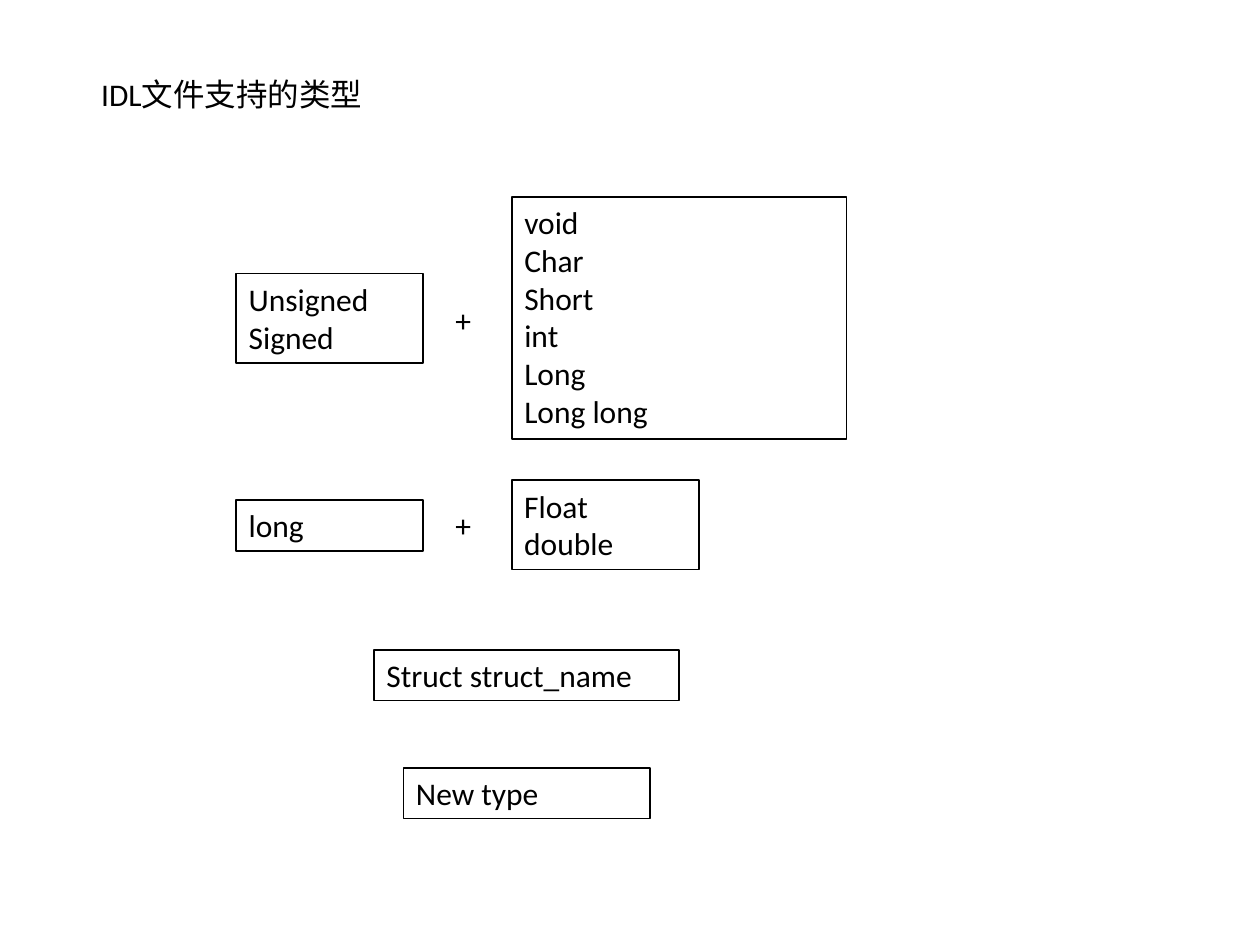
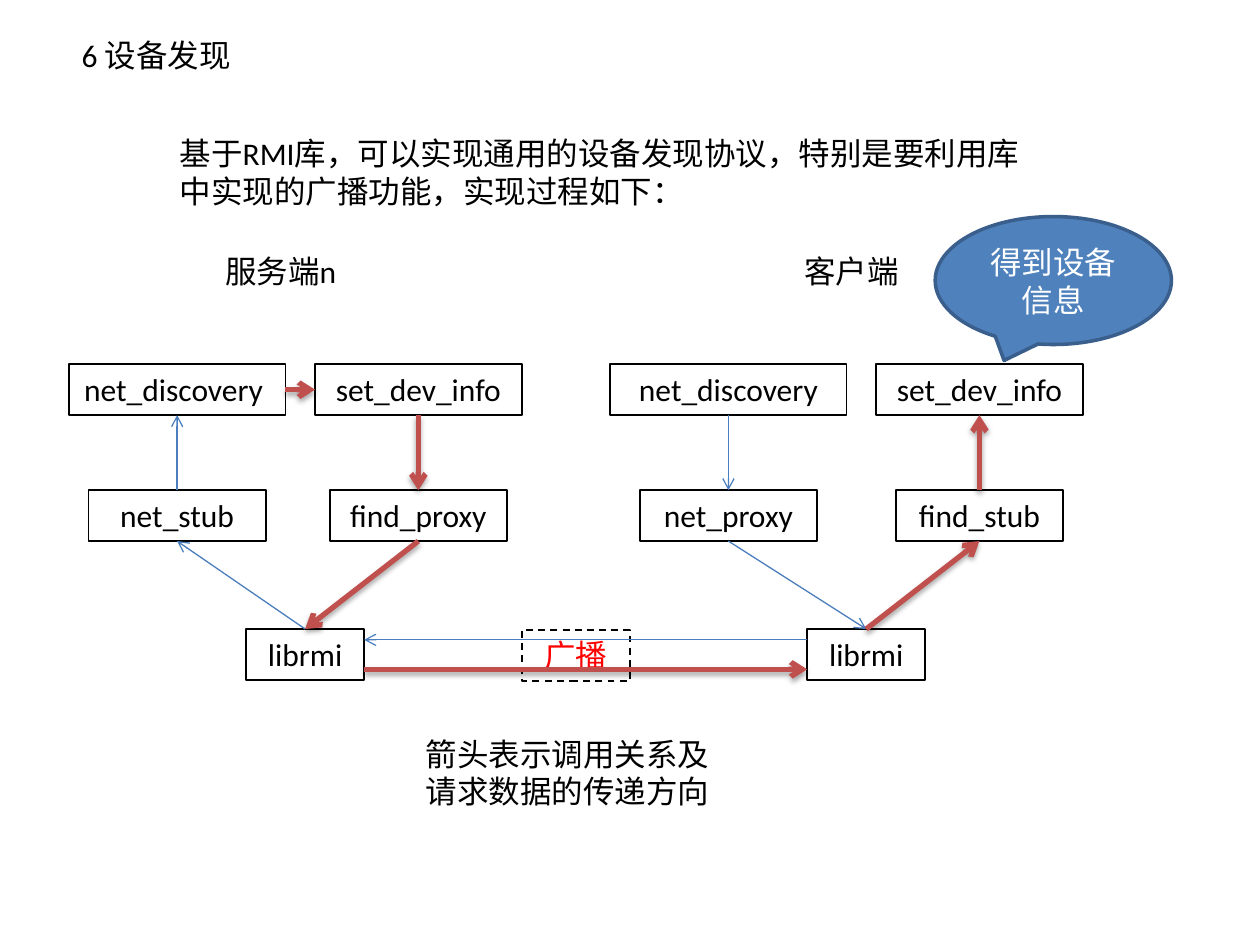
from dataclasses import dataclass
from lxml.etree import SubElement
from pptx import Presentation
from pptx.dml.color import RGBColor
from pptx.enum.dml import MSO_LINE
from pptx.enum.shapes import MSO_CONNECTOR, MSO_SHAPE
from pptx.enum.text import MSO_ANCHOR, MSO_AUTO_SIZE, PP_ALIGN
from pptx.oxml.ns import qn
from pptx.util import Inches, Pt

LEFT, MID = PP_ALIGN.LEFT, PP_ALIGN.CENTER
TOP, SIDE, BASE, RIGHT = range(4)  # connection sites of a rectangle
COLS, ROWS = 128, 96


@dataclass(frozen=True)
class Theme:
    font: str = "Calibri"
    size: float = 18
    ink: str = "000000"
    alert: str = "FF0000"
    light: str = "FFFFFF"
    bubble: str = "4F81BD"
    rim: str = "3A5F8C"
    call: tuple = ("4B7EBC", 0.75)
    reply: tuple = ("C0504D", 3)
    pad: float = 1.29    # box margins, in rows
    step: float = 3.88   # one line of text, in rows


class Deck:
    def __init__(self, theme):
        self.theme = theme
        self.prs = Presentation()
        self.prs.slide_width, self.prs.slide_height = Inches(10), Inches(7.5)
        self.slide = None

    def x(self, col):
        return round(self.prs.slide_width * col / COLS)

    def y(self, row):
        return round(self.prs.slide_height * row / ROWS)

    def area(self, col, row, wide, lines):
        high = self.theme.pad + self.theme.step * lines
        return self.x(col), self.y(row), self.x(wide), self.y(high)

    def style(self, shape, text, align=LEFT, color=None, grow=True):
        frame = shape.text_frame
        frame.text = text
        frame.word_wrap = True
        frame.vertical_anchor = MSO_ANCHOR.TOP if grow else MSO_ANCHOR.MIDDLE
        frame.auto_size = MSO_AUTO_SIZE.SHAPE_TO_FIT_TEXT if grow else MSO_AUTO_SIZE.NONE
        for para in frame.paragraphs:
            para.alignment = align
            for run in para.runs:
                run.font.name = self.theme.font
                run.font.size = Pt(self.theme.size)
                run.font.color.rgb = RGBColor.from_string(color or self.theme.ink)

    def edge(self, shape, color, width):
        shape.line.color.rgb = RGBColor.from_string(color)
        shape.line.width = Pt(width)

    def page(self, title, col, row, wide):
        self.slide = self.prs.slides.add_slide(self.prs.slide_layouts[5])
        head = self.slide.shapes.title
        head.left, head.top, head.width, head.height = self.area(col, row, wide, 1)
        self.style(head, title)

    def label(self, text, col, row, wide, lines=1, align=LEFT):
        shape = self.slide.shapes.add_textbox(*self.area(col, row, wide, lines))
        self.style(shape, text, align)

    def box(self, text, col, row, wide, align=LEFT, color=None):
        place = self.area(col, row, wide, text.count("\n") + 1)
        shape = self.slide.shapes.add_shape(MSO_SHAPE.RECTANGLE, *place)
        shape.shadow.inherit = False
        shape.fill.background()
        self.edge(shape, self.theme.ink, 1)
        self.style(shape, text, align, color)
        return shape

    def node(self, text, mid, row, wide, color=None):
        return self.box(text, mid - wide / 2, row, wide, MID, color)

    def bubble(self, text, col, row, wide, high):
        shape = self.slide.shapes.add_shape(
            MSO_SHAPE.OVAL_CALLOUT, self.x(col), self.y(row), self.x(wide), self.y(high))
        shape.shadow.inherit = False
        shape.fill.solid()
        shape.fill.fore_color.rgb = RGBColor.from_string(self.theme.bubble)
        self.edge(shape, self.theme.rim, 2)
        self.style(shape, text, MID, self.theme.light, grow=False)

    def arrow(self, kind, start=(0, 0), end=(0, 0)):
        line = self.slide.shapes.add_connector(
            MSO_CONNECTOR.STRAIGHT, self.x(start[0]), self.y(start[1]),
            self.x(end[0]), self.y(end[1]))
        self.edge(line, *kind)
        props = line._element.spPr
        SubElement(props.find(qn("a:ln")), qn("a:tailEnd"), type="arrow")
        glow = SubElement(props, qn("a:effectLst"))
        if kind == self.theme.reply:
            cast = SubElement(glow, qn("a:outerShdw"), blurRad=str(Pt(3.1)),
                              dist=str(Pt(1.8)), dir="5400000", rotWithShape="0")
            tint = SubElement(cast, qn("a:srgbClr"), val=self.theme.ink)
            SubElement(tint, qn("a:alpha"), val="35000")
        return line

    def link(self, kind, start, out, end, into):
        line = self.arrow(kind)
        line.begin_connect(start, out)
        line.end_connect(end, into)


def types(deck):
    deck.page("IDL文件支持的类型", 9, 7, 33)
    # Type boxes
    for text, col, row, wide in (
            ("Unsigned\nSigned", 24, 27.8, 19),
            ("void\nChar\nShort\nint\nLong\nLong long", 52, 20, 34),
            ("Float\ndouble", 52, 48.8, 19),
            ("long", 24, 50.8, 19),
            ("Struct struct_name", 38, 66, 31),
            ("New type", 41, 78, 25)):
        deck.box(text, col, row, wide)
    # Plus signs
    for row in (30, 50.8):
        deck.label("+", 45, row, 7)


def search(deck):
    call, reply = deck.theme.call, deck.theme.reply
    deck.page("6 设备发现", 7, 3, 25)
    deck.label("基于RMI库，可以实现通用的设备发现协议，特别是要利用库中实现的广播功能，实现过程如下：",
               17, 13, 90, 2)
    for text, col in (("服务端n", 20), ("客户端", 78)):
        deck.label(text, col, 25, 17, align=MID)

    # Three tiers of nodes
    top, tier, low = 37, 49.8, 63.9
    find, info = deck.node("net_discovery ", 18, top, 22), deck.node("set_dev_info", 42.5, top, 21)
    ask, got = deck.node("net_discovery", 74, top, 24), deck.node("set_dev_info", 99.5, top, 21)
    stub, proxy = deck.node("net_stub", 18, tier, 18), deck.node("find_proxy", 42.5, tier, 18)
    send, take = deck.node("net_proxy", 74, tier, 18), deck.node("find_stub", 99.5, tier, 17)
    host, peer = (deck.node("librmi", mid, low, 12) for mid in (31, 88))

    # Calls in blue, replies in red
    for kind, start, out, end, into in (
            (call, ask, BASE, send, TOP), (call, send, BASE, peer, TOP),
            (reply, peer, TOP, take, BASE), (reply, take, TOP, got, BASE),
            (call, host, TOP, stub, BASE), (call, stub, TOP, find, BASE),
            (reply, find, RIGHT, info, SIDE), (reply, info, BASE, proxy, TOP),
            (reply, proxy, BASE, host, TOP)):
        deck.link(kind, start, out, end, into)

    # Broadcast between the two libraries
    cast = deck.node("广播", 58.5, 64, 11, deck.theme.alert)
    cast.line.dash_style = MSO_LINE.DASH
    deck.arrow(call, (82, 65), (37, 65))
    deck.arrow(reply, (37, 68), (82, 68))

    # Remarks
    deck.label("箭头表示调用关系及请求数据的传递方向", 42, 74, 32, 2)
    deck.bubble("得到设备信息", 95, 22, 24, 13)


def main():
    deck = Deck(Theme())
    types(deck)
    search(deck)
    deck.prs.save("out.pptx")


if __name__ == "__main__":
    main()
